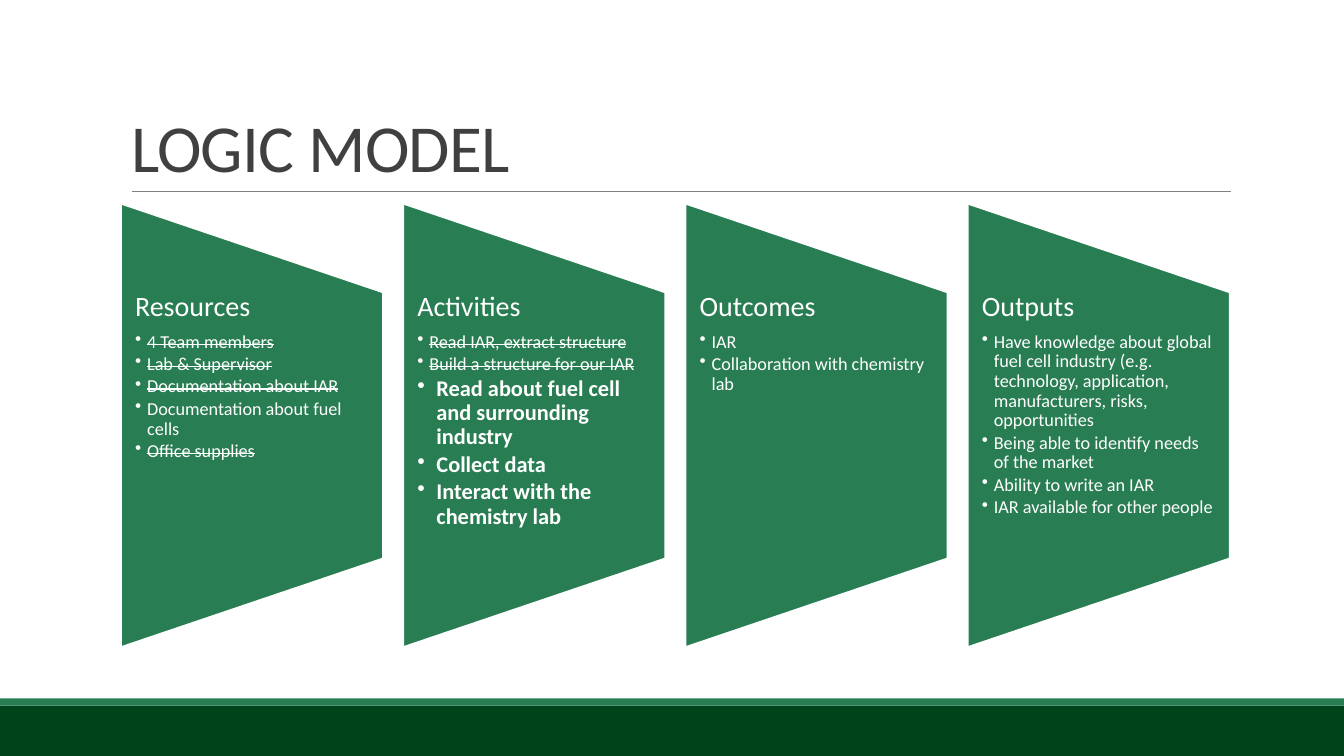
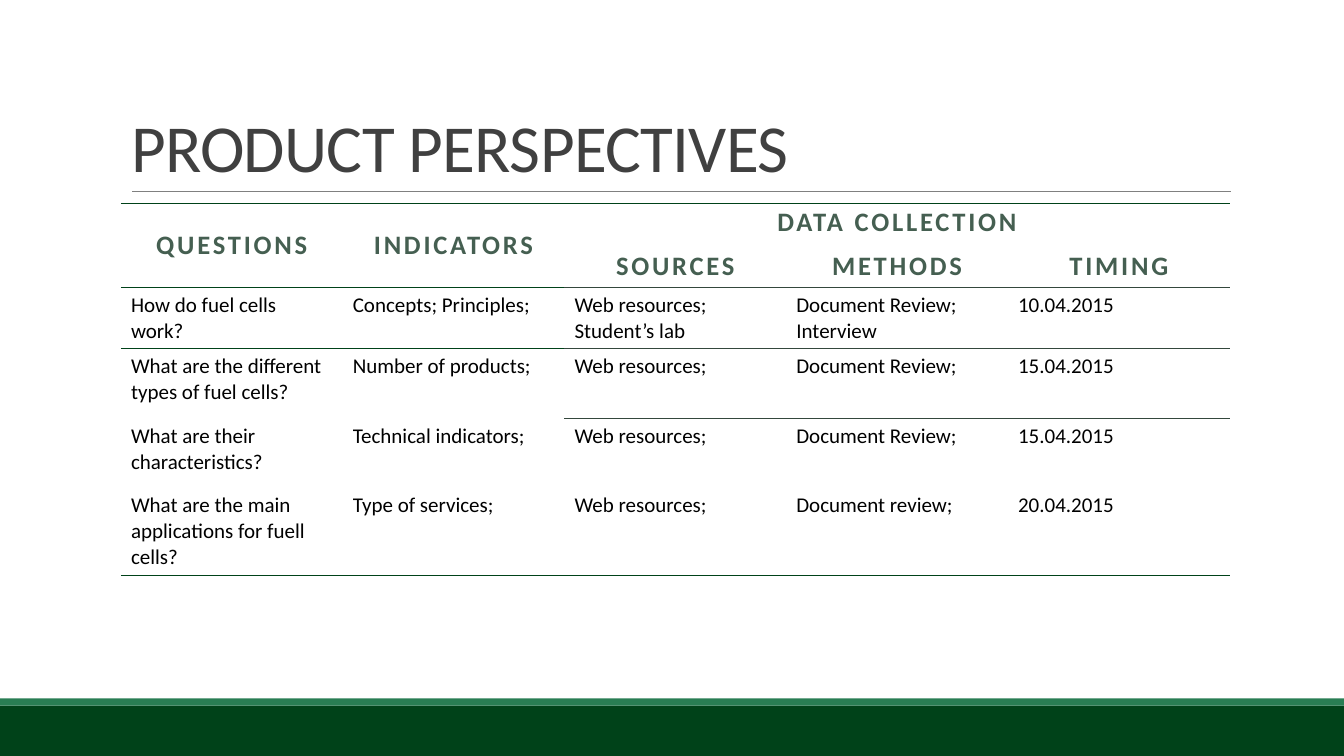
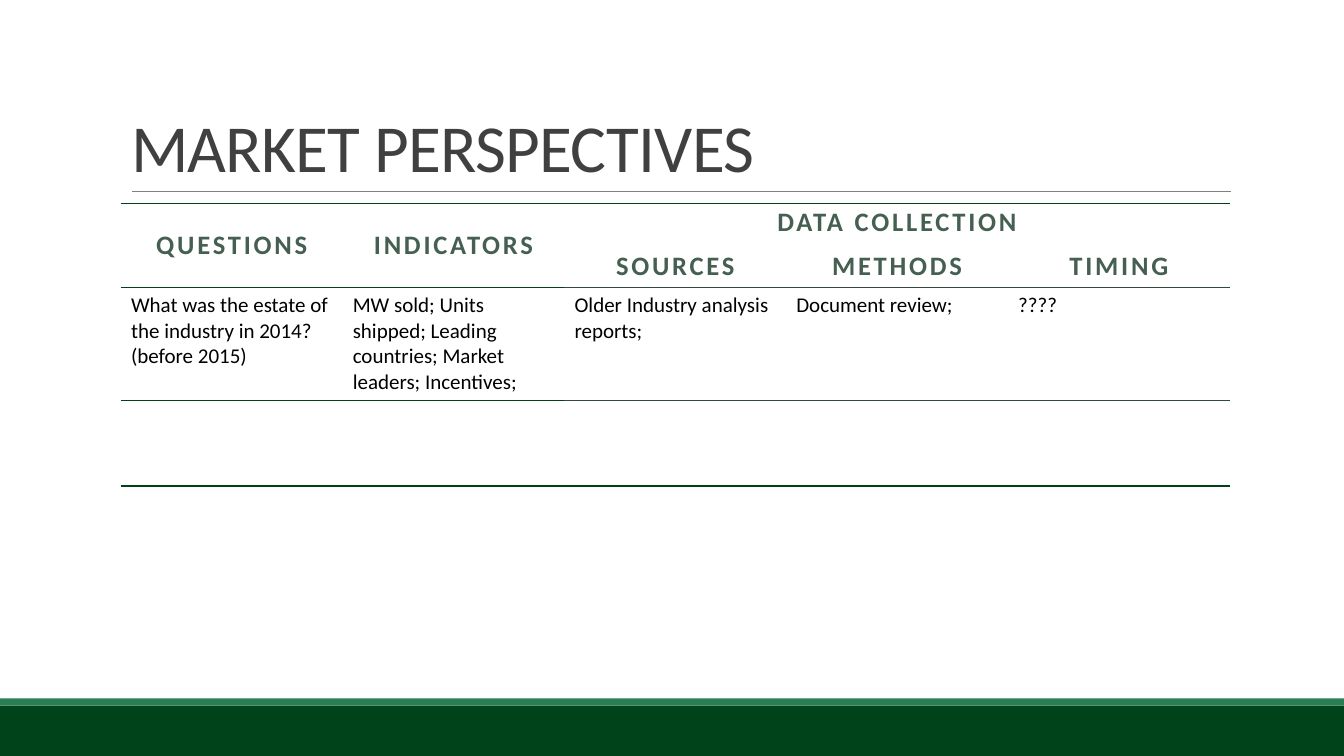
from pptx import Presentation, util as u
from pptx.dml.color import RGBColor
from pptx.enum import shapes, text
from pptx.oxml.ns import qn
from lxml import etree

DARK_GREEN = RGBColor(0x00, 0x42, 0x19)
GREEN = RGBColor(0x29, 0x7D, 0x53)
HEADER_GREEN = RGBColor(0x45, 0x5F, 0x51)
RULE_GREEN = RGBColor(0x34, 0x47, 0x3D)
GRAY = RGBColor(0x80, 0x80, 0x80)
CHARCOAL = RGBColor(0x40, 0x40, 0x40)
BLACK = RGBColor(0x00, 0x00, 0x00)
WHITE = RGBColor(0xFF, 0xFF, 0xFF)

FONT = "Calibri"
UNIT = u.Inches(0.1)
COLUMNS, ROWS = 133.33, 75
LEFT, WIDTH, TOP = 12, 110, 20.2
PLAIN_TABLE = "{2D5ABB26-0587-4C30-8999-92F81FD0307C}"

PLAIN = {"size": 13, "indent": 0.12}
DONE = {"size": 13, "indent": 0.12, "strike": True}
FOCUS = {"size": 16, "indent": 0.19, "bold": True}

LOGIC_MODEL = [
    ("Resources", [
        ("4 Team members", DONE),
        ("Lab & Supervisor", DONE),
        ("Documentation about IAR", DONE),
        ("Documentation about fuel cells", PLAIN),
        ("Office supplies", DONE),
    ]),
    ("Activities", [
        ("Read IAR, extract structure", DONE),
        ("Build a structure for our IAR", DONE),
        ("Read about fuel cell and surrounding industry", FOCUS),
        ("Collect data", FOCUS),
        ("Interact with the chemistry lab", FOCUS),
    ]),
    ("Outcomes", [
        ("IAR", PLAIN),
        ("Collaboration with chemistry lab", PLAIN),
    ]),
    ("Outputs", [
        ("Have knowledge about global fuel cell industry (e.g. technology, "
         "application, manufacturers, risks, opportunities", PLAIN),
        ("Being able to identify needs of the market", PLAIN),
        ("Ability to write an IAR", PLAIN),
        ("IAR available for other people", PLAIN),
    ]),
]

HEADER = [
    ["QUESTIONS", "INDICATORS", "DATA COLLECTION", "", ""],
    ["", "", "SOURCES", "METHODS", "TIMING"],
]
HEADER_HEIGHTS = [4.1, 4.2]

PRODUCT_ROWS = [
    ["How do fuel cells work?", "Concepts; Principles;",
     "Web resources; Student’s lab", "Document Review; Interview", "10.04.2015"],
    ["What are the different types of fuel cells?", "Number of products;",
     "Web resources;", "Document Review;", "15.04.2015"],
    ["What are their characteristics?", "Technical indicators;",
     "Web resources;", "Document Review;", "15.04.2015"],
    ["What are the main applications for fuell cells?", "Type of services;",
     "Web resources;", "Document review;", "20.04.2015"],
]

MARKET_ROWS = [
    ["What was the estate of the industry in 2014? (before 2015)",
     "MW sold; Units shipped; Leading countries; Market leaders; Incentives;",
     "Older Industry analysis reports;", "Document review;", "????"],
    [""] * 5,
]


def grid(*lengths):
    return [int(length * UNIT) for length in lengths]


class Deck:
    def __init__(self):
        self.presentation = Presentation()
        self.presentation.slide_width, self.presentation.slide_height = grid(COLUMNS, ROWS)
        self.layout = self.presentation.slide_layouts[5]
        self.slide = None

    def new_slide(self, title):
        first = self.slide is None
        self.slide = self.presentation.slides.add_slide(self.layout)
        if first:
            self.fill_layout()
        self.title(title)

    def fill_layout(self):
        parts = [
            self.block("RECTANGLE", DARK_GREEN, 0, 70, COLUMNS, 5),
            self.block("RECTANGLE", GREEN, 0, 69.3, COLUMNS, 0.7),
            self.line(13.1, 19, 122.1, 19),
        ]
        for number, part in enumerate(parts, 20):
            part.element.xpath(".//p:cNvPr")[0].set("id", str(number))
            self.layout.shapes.element.append(part.element)

    def block(self, kind, color, *box):
        shape = self.slide.shapes.add_shape(shapes.MSO_SHAPE[kind], *grid(*box))
        shape.shadow.inherit = False
        shape.fill.solid()
        shape.fill.fore_color.rgb = color
        shape.line.fill.background()
        return shape

    def line(self, *ends):
        connector = self.slide.shapes.add_connector(shapes.MSO_CONNECTOR.STRAIGHT, *grid(*ends))
        connector.line.color.rgb = GRAY
        connector.line.width = u.Pt(0.5)
        properties = connector.element.find(qn("p:spPr"))
        etree.SubElement(properties, qn("a:effectLst"))
        return connector

    def format(self, paragraph, size, color, bold=False, strike=False, tracking=0):
        for run in paragraph.runs:
            run.font.name = FONT
            run.font.size = u.Pt(size)
            run.font.bold = bold
            run.font.color.rgb = color
            properties = run._r.get_or_add_rPr()
            if tracking:
                properties.set("spc", str(int(tracking * 100)))
            if strike:
                properties.set("strike", "sngStrike")

    def title(self, wording):
        title = self.slide.shapes.title
        title.left, title.top, title.width, title.height = grid(LEFT, 3.1, WIDTH, 15.9)
        frame = title.text_frame
        frame.text = wording
        frame.word_wrap = True
        frame.auto_size = text.MSO_AUTO_SIZE.NONE
        frame.vertical_anchor = text.MSO_ANCHOR.BOTTOM
        paragraph = frame.paragraphs[0]
        paragraph.alignment = text.PP_ALIGN.LEFT
        paragraph.line_spacing = 0.85
        self.format(paragraph, 48, CHARCOAL, tracking=-0.5)

    def bullet(self, paragraph, indent):
        paragraph.level = 1
        properties = paragraph._p.get_or_add_pPr()
        properties.set("marL", str(u.Inches(indent)))
        properties.set("indent", str(-u.Inches(indent)))
        etree.SubElement(properties, qn("a:buChar")).set("char", "•")

    def card(self, left, width, height, heading, items):
        panel = self.block("FLOWCHART_MANUAL_OPERATION", GREEN,
                           left + (width - height) / 2, TOP + (height - width) / 2,
                           height, width)
        panel.rotation = 270
        panel.line.color.rgb = WHITE
        panel.line.width = u.Pt(1.25)

        label = self.slide.shapes.add_textbox(
            *grid(left, TOP + 0.2 * height, width, 0.6 * height))
        frame = label.text_frame
        frame.word_wrap = True
        frame.margin_left = frame.margin_right = u.Inches(0.14)
        frame.margin_top = frame.margin_bottom = 0
        frame.text = "\n".join([heading] + [wording for wording, style in items])
        first, *others = frame.paragraphs
        first.line_spacing = 0.9
        first.space_after = u.Pt(7)
        self.format(first, 20, WHITE)
        for paragraph, (wording, style) in zip(others, items):
            paragraph.line_spacing = 0.9
            paragraph.space_after = u.Pt(0.15 * style["size"])
            self.bullet(paragraph, style["indent"])
            self.format(paragraph, style["size"], WHITE,
                        style.get("bold", False), style.get("strike", False))

    def cards(self, contents, gap=2, height=44):
        width = (WIDTH - gap * (len(contents) - 1)) / len(contents)
        for index, (heading, items) in enumerate(contents):
            self.card(LEFT + index * (width + gap), width, height, heading, items)

    def border(self, cell, side, color):
        properties = cell._tc.get_or_add_tcPr()
        line = etree.Element(qn("a:ln" + side), w=str(u.Pt(1)))
        fill = etree.SubElement(line, qn("a:solidFill"))
        etree.SubElement(fill, qn("a:srgbClr")).set("val", str(color))
        properties.insert(len(properties.findall(qn("a:lnT"))), line)

    def rule(self, table, edge, columns, color):
        for column in columns:
            if edge > 0:
                self.border(table.cell(edge - 1, column), "B", color)
            if edge < len(table.rows):
                self.border(table.cell(edge, column), "T", color)

    def cell(self, cell, wording, row, column):
        cell.fill.background()
        cell.text = wording
        paragraph = cell.text_frame.paragraphs[0]
        if row >= len(HEADER):
            self.format(paragraph, 15, BLACK)
            return
        paragraph.alignment = text.PP_ALIGN.CENTER
        self.format(paragraph, 19, HEADER_GREEN, bold=True, tracking=2)
        if row == 0:
            paragraph.line_spacing = 0.9
            paragraph.space_before = u.Pt(12)
            paragraph.space_after = u.Pt(2)
            if column < 2:
                cell.vertical_anchor = text.MSO_ANCHOR.MIDDLE

    def table(self, body, body_heights):
        contents = HEADER + body
        heights = HEADER_HEIGHTS + body_heights
        count = len(HEADER[0])
        frame = self.slide.shapes.add_table(
            len(contents), count, *grid(LEFT, TOP, WIDTH, sum(heights)))
        table = frame.table
        table.first_row = table.horz_banding = False
        table._tbl.tblPr.find(qn("a:tableStyleId")).text = PLAIN_TABLE
        for row, height in zip(table.rows, grid(*heights)):
            row.height = height
        for row, wordings in enumerate(contents):
            for column, wording in enumerate(wordings):
                self.cell(table.cell(row, column), wording, row, column)
        for column in range(2):
            table.cell(0, column).merge(table.cell(1, column))
        table.cell(0, 2).merge(table.cell(0, 4))

        everything, topics, collection = range(count), range(2), range(2, count)
        self.rule(table, 0, everything, DARK_GREEN)
        self.rule(table, 2, topics, DARK_GREEN)
        self.rule(table, 2, collection, RULE_GREEN)
        self.rule(table, 3, collection, RULE_GREEN)
        self.rule(table, len(contents), everything, DARK_GREEN)


def main():
    deck = Deck()
    deck.new_slide("LOGIC MODEL")
    deck.cards(LOGIC_MODEL)
    deck.new_slide("PRODUCT PERSPECTIVES")
    deck.table(PRODUCT_ROWS, [6, 6.9, 6.9, 8.5])
    deck.new_slide("MARKET PERSPECTIVES")
    deck.table(MARKET_ROWS, [10.9, 8.5])
    deck.presentation.save("out.pptx")


if __name__ == "__main__":
    main()
